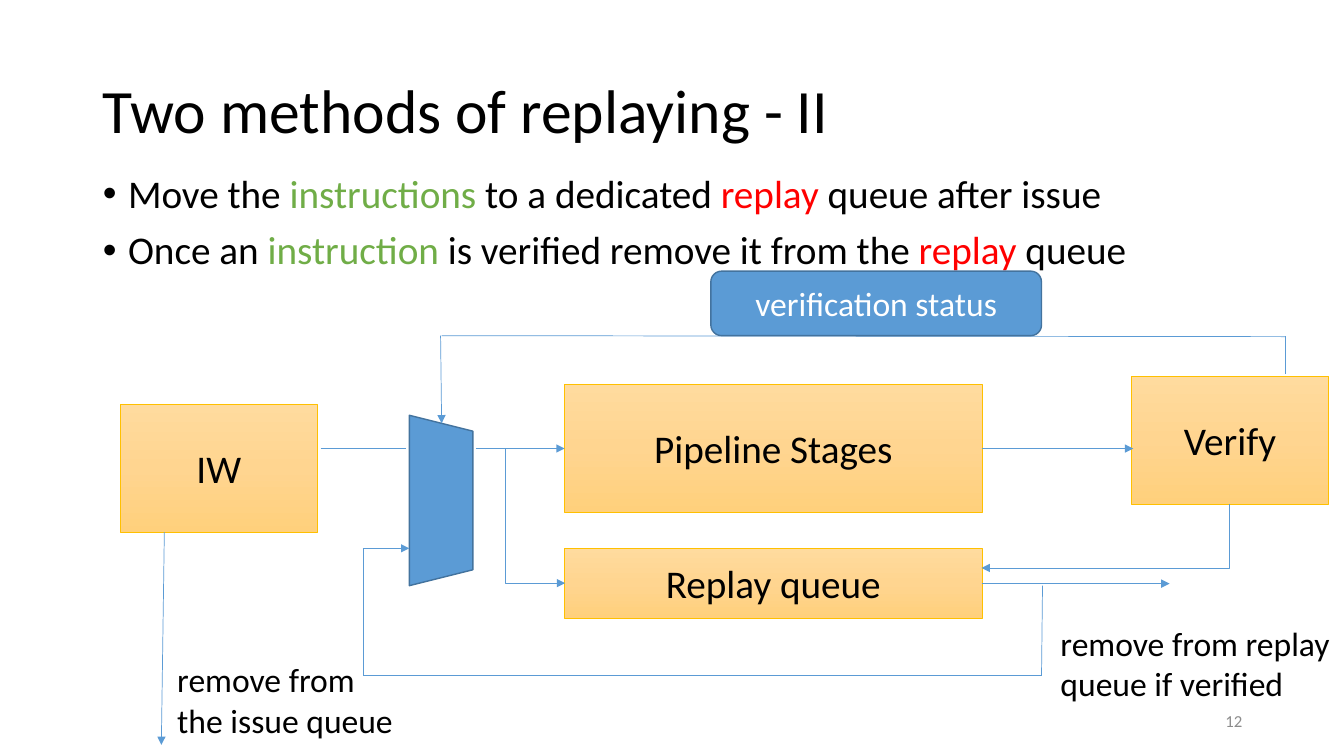
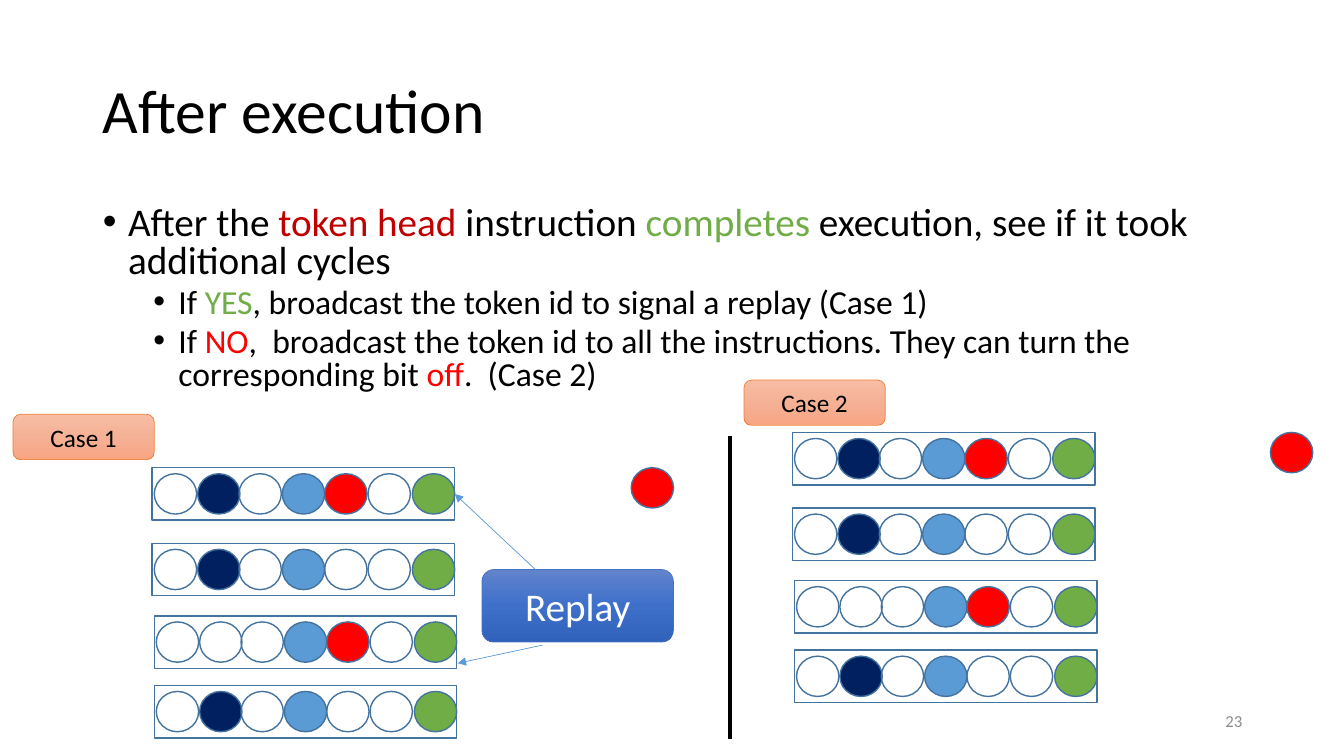
from copy import deepcopy

from lxml import etree
from pptx import Presentation
from pptx.dml.color import RGBColor
from pptx.enum.shapes import MSO_CONNECTOR, MSO_SHAPE
from pptx.enum.text import MSO_ANCHOR, MSO_AUTO_SIZE, PP_ALIGN
from pptx.oxml.ns import qn
from pptx.util import Inches, Pt

STRAIGHT, ELBOW = MSO_CONNECTOR.STRAIGHT, MSO_CONNECTOR.ELBOW
RECTANGLE, ROUNDED = MSO_SHAPE.RECTANGLE, MSO_SHAPE.ROUNDED_RECTANGLE
OVAL, TRAPEZOID = MSO_SHAPE.OVAL, MSO_SHAPE.TRAPEZOID
LEFT, CENTER, RIGHT = PP_ALIGN.LEFT, PP_ALIGN.CENTER, PP_ALIGN.RIGHT
TOP, MIDDLE = MSO_ANCHOR.TOP, MSO_ANCHOR.MIDDLE
NO_FIT, GROW = MSO_AUTO_SIZE.NONE, MSO_AUTO_SIZE.SHAPE_TO_FIT_TEXT

BLACK = RGBColor(0x00, 0x00, 0x00)
WHITE = RGBColor(0xFF, 0xFF, 0xFF)
GRAY = RGBColor(0x8C, 0x8C, 0x8C)
GREEN = RGBColor(0x70, 0xAD, 0x47)
RED = RGBColor(0xFF, 0x00, 0x00)
DARK_RED = RGBColor(0xC0, 0x00, 0x00)
NAVY = RGBColor(0x00, 0x20, 0x60)
BLUE = RGBColor(0x5B, 0x9B, 0xD5)
BLUE_EDGE = RGBColor(0x43, 0x73, 0x9E)
GOLD_EDGE = RGBColor(0xFF, 0xC0, 0x00)
ORANGE_EDGE = RGBColor(0xED, 0x7D, 0x31)
ROYAL_EDGE = RGBColor(0x44, 0x72, 0xC4)
GOLD = [RGBColor(0xFF, 0xDB, 0x9E), RGBColor(0xFF, 0xD5, 0x90), RGBColor(0xFF, 0xD0, 0x7C)]
ORANGE = [RGBColor(0xF7, 0xBD, 0xA5), RGBColor(0xF5, 0xB1, 0x96), RGBColor(0xF8, 0xA5, 0x82)]
ROYAL = [RGBColor(0x61, 0x83, 0xCB), RGBColor(0x3E, 0x70, 0xCA), RGBColor(0x30, 0x62, 0xBB)]

FONT = "Calibri"
STAGE_STYLE = {"fill": GOLD, "edge": GOLD_EDGE, "edge_width": 0.5, "size": 28}
CASE_STYLE = {"fill": ORANGE, "edge": ORANGE_EDGE, "edge_width": 0.5, "size": 18}
REPLAY_STYLE = {"fill": ROYAL, "edge": ROYAL_EDGE, "edge_width": 0.5, "size": 28, "color": WHITE}
STATUS_STYLE = {"fill": BLUE, "size": 24, "color": WHITE}

TOKEN_OFFSETS = [0.02, 0.45, 0.86, 1.29, 1.71, 2.14, 2.58]
TOKEN_ROWS = [
    (0, 0, [None, NAVY, None, BLUE, RED, None, GREEN]),
    (0, 0.75, [None, NAVY, None, BLUE, None, None, GREEN]),
    (0.02, 1.47, [None, None, None, BLUE, RED, None, GREEN]),
    (0.02, 2.16, [None, NAVY, None, BLUE, None, None, GREEN]),
]


def set_values(target, values):
    for name, value in values.items():
        setattr(target, name, value)


def format_run(run, size, color):
    set_values(run.font, {"name": FONT, "size": Pt(size), "bold": False})
    run.font.color.rgb = color


def write_text(shape, text, size, color=BLACK, alignment=LEFT, anchor=MIDDLE):
    frame = shape.text_frame
    set_values(frame, {"text": text, "vertical_anchor": anchor})
    for paragraph in frame.paragraphs:
        paragraph.alignment = alignment
        for run in paragraph.runs:
            format_run(run, size, color)


def place(shape, left, top, width, height):
    set_values(shape, {"left": Inches(left), "top": Inches(top),
                       "width": Inches(width), "height": Inches(height)})


def paint(shape, fill):
    if fill is None:
        shape.fill.background()
    elif isinstance(fill, list):
        shape.fill.gradient()
        shape.fill.gradient_angle = 270
        stops = shape._element.spPr.find(qn("a:gradFill")).find(qn("a:gsLst"))
        stops.append(deepcopy(stops[0]))
        for index, stop in enumerate(shape.fill.gradient_stops):
            stop.position = index / 2
            stop.color.rgb = fill[index]
    else:
        shape.fill.solid()
        shape.fill.fore_color.rgb = fill


def add_box(slide, kind, bounds, text="", fill=None, edge=BLUE_EDGE, edge_width=1,
            size=18, color=BLACK):
    shape = slide.shapes.add_shape(kind, *map(Inches, bounds))
    shape.shadow.inherit = False
    paint(shape, fill)
    shape.line.color.rgb = edge
    shape.line.width = Pt(edge_width)
    if text:
        write_text(shape, text, size, color, CENTER)
    return shape


def add_line(slide, start, end, arrow=False, color=BLUE, width=0.5, kind=STRAIGHT):
    connector = slide.shapes.add_connector(kind, *map(Inches, start + end))
    connector.line.color.rgb = color
    connector.line.width = Pt(width)
    properties = connector._element.spPr
    if arrow:
        etree.SubElement(properties.find(qn("a:ln")), qn("a:tailEnd"), type="triangle")
    etree.SubElement(properties, qn("a:effectLst"))
    return connector


def add_bent_arrow(slide, start, end, degrees):
    properties = add_line(slide, start, end, True, kind=ELBOW)._element.spPr
    properties.find(qn("a:prstGeom")).set("prst", "bentConnector2")
    properties.find(qn("a:xfrm")).set("rot", str(degrees * 60000))


def add_note(slide, bounds, text):
    box = slide.shapes.add_textbox(*map(Inches, bounds))
    set_values(box.text_frame, {"word_wrap": False, "auto_size": GROW})
    write_text(box, text, 24, anchor=TOP)


def add_base_slide(presentation, title, number):
    slide = presentation.slides.add_slide(presentation.slide_layouts[1])
    heading = slide.shapes.title
    place(heading, 0.92, 0.4, 11.5, 1.45)
    write_text(heading, title, 44)
    heading.text_frame.auto_size = NO_FIT
    heading.text_frame.paragraphs[0].line_spacing = 0.9
    number_box = slide.shapes.add_textbox(*map(Inches, (9.42, 6.95, 3, 0.4)))
    number_box.text_frame.word_wrap = True
    write_text(number_box, number, 12, GRAY, RIGHT)
    return slide


def add_bullets(slide, top, height, line_spacing, bullets):
    body = slide.placeholders[1]
    place(body, 0.92, top, 11.5, height)
    frame = body.text_frame
    set_values(frame, {"auto_size": NO_FIT, "vertical_anchor": TOP})
    for index, (level, runs) in enumerate(bullets):
        paragraph = frame.add_paragraph() if index else frame.paragraphs[0]
        set_values(paragraph, {"level": level, "alignment": LEFT, "line_spacing": line_spacing,
                               "space_before": Pt(5 if level else 10), "space_after": Pt(0)})
        properties = paragraph._p.get_or_add_pPr()
        properties.set("marL", str(Inches(0.25 + 0.5 * level)))
        properties.set("indent", str(Inches(-0.25)))
        etree.SubElement(properties, qn("a:buFont"), typeface="Arial")
        etree.SubElement(properties, qn("a:buChar"), char="\u2022")
        for text, color in runs:
            run = paragraph.add_run()
            run.text = text
            format_run(run, 24 if level else 28, color)


def add_token(slide, left, top, fill):
    add_box(slide, OVAL, (left, top, 0.42, 0.4), fill=fill)


def add_token_rows(slide, left, top):
    for shift, drop, fills in TOKEN_ROWS:
        row_left, row_top = left + shift, top + drop
        add_box(slide, RECTANGLE, (row_left, row_top, 3, 0.52))
        for offset, fill in zip(TOKEN_OFFSETS, fills):
            add_token(slide, row_left + offset, row_top + 0.06, fill)


def build_replay_queue(presentation):
    slide = add_base_slide(presentation, "Two methods of replaying - II", "12")
    add_bullets(slide, 1.68, 1.26, 0.9, [
        (0, [("Move the ", BLACK), ("instructions", GREEN), (" to a dedicated ", BLACK),
             ("replay", RED), (" queue after issue", BLACK)]),
        (0, [("Once an ", BLACK), ("instruction", GREEN),
             (" is verified remove it from the ", BLACK), ("replay", RED), (" queue", BLACK)]),
    ])
    for text, bounds in [
        ("IW", (1.19, 4.01, 1.96, 1.27)),
        ("Pipeline Stages", (5.6, 3.81, 4.14, 1.27)),
        ("Replay queue", (5.6, 5.44, 4.14, 0.69)),
        ("Verify", (11.22, 3.73, 1.96, 1.27)),
    ]:
        add_box(slide, RECTANGLE, bounds, text, **STAGE_STYLE)
    selector = add_box(slide, TRAPEZOID, (3.53, 4.65, 1.69, 0.63), fill=BLUE)
    selector.rotation = 90
    for start, end, arrow in [
        ((3.18, 4.45), (4.03, 4.45), False),
        ((4.72, 4.45), (5.6, 4.45), True),
        ((9.74, 5.79), (11.6, 5.79), True),
        ((10.34, 5.81), (10.33, 6.7), False),
        ((10.33, 6.7), (3.6, 6.7), False),
        ((3.6, 5.44), (4.06, 5.44), True),
        ((3.6, 5.44), (3.6, 6.7), False),
        ((9.74, 4.45), (11.24, 4.45), True),
        ((1.63, 5.28), (1.6, 7.39), True),
        ((12.75, 3.34), (4.38, 3.33), False),
        ((12.75, 3.71), (12.75, 3.33), False),
        ((4.37, 3.33), (4.38, 4.2), True),
    ]:
        add_line(slide, start, end, arrow)
    add_bent_arrow(slide, (5.98, 4.82), (4.64, 5.41), 270)
    add_bent_arrow(slide, (10.65, 4.09), (11.28, 6.55), 90)
    add_box(slide, ROUNDED, (7.05, 2.69, 3.28, 0.64), "verification status", **STATUS_STYLE)
    add_note(slide, (1.66, 6.49, 2.36, 0.91), "remove from \vthe issue queue")
    add_note(slide, (10.42, 6.13, 2.9, 0.91), "remove from replay\nqueue if verified")


def build_after_execution(presentation):
    slide = add_base_slide(presentation, "After execution", "23")
    add_bullets(slide, 2, 2.11, 0.8, [
        (0, [("After the ", BLACK), ("token head ", DARK_RED), ("instruction ", BLACK),
             ("completes", GREEN), (" execution, see if it took additional cycles ", BLACK)]),
        (1, [("If ", BLACK), ("YES", GREEN),
             (", broadcast the token id to signal a replay (Case 1)", BLACK)]),
        (1, [("If ", BLACK), ("NO", RED),
             (",  broadcast the token id to all the instructions. "
              "They can turn the corresponding bit ", BLACK),
             ("off", RED), (".  (Case 2)", BLACK)]),
    ])
    for text, label_left, label_top, rows_left, rows_top, token_left, token_top in [
        ("Case 1", 0.13, 4.11, 1.51, 4.64, 6.26, 4.64),
        ("Case 2", 7.38, 3.77, 7.86, 4.29, 12.6, 4.29),
    ]:
        add_token_rows(slide, rows_left, rows_top)
        add_box(slide, ROUNDED, (label_left, label_top, 1.4, 0.45), text, **CASE_STYLE)
        add_token(slide, token_left, token_top, RED)
    add_box(slide, ROUNDED, (4.78, 5.65, 1.9, 0.72), "Replay", **REPLAY_STYLE)
    add_line(slide, (5.31, 5.65), (4.51, 4.9), True)
    add_line(slide, (5.38, 6.4), (4.54, 6.58), True)
    add_line(slide, (7.24, 4.33), (7.24, 7.33), color=BLACK, width=3)


def main():
    presentation = Presentation()
    set_values(presentation, {"slide_width": Inches(13.33), "slide_height": Inches(7.5)})
    build_replay_queue(presentation)
    build_after_execution(presentation)
    presentation.save("out.pptx")


main()
